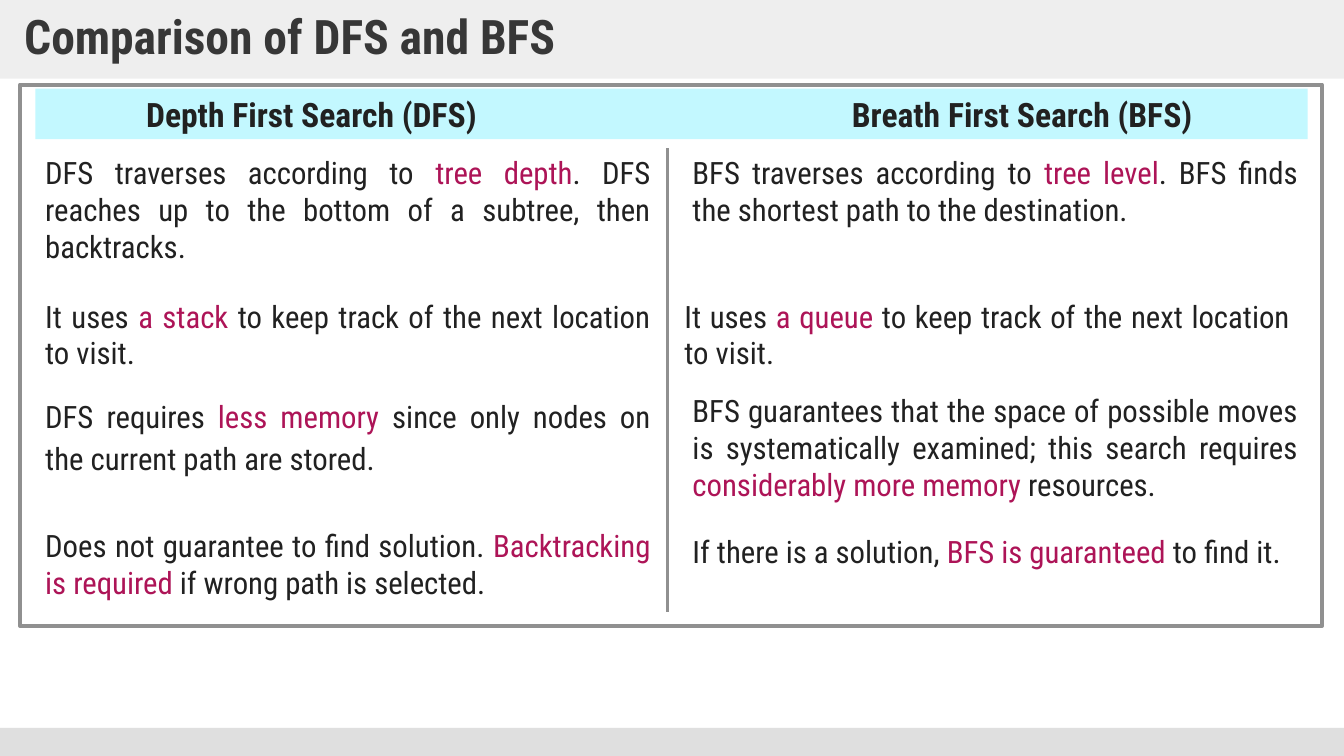
from lxml.etree import SubElement
from pptx import Presentation
from pptx.dml.color import RGBColor
from pptx.enum.shapes import MSO_CONNECTOR, MSO_SHAPE
from pptx.enum.text import MSO_ANCHOR, MSO_AUTO_SIZE, PP_ALIGN
from pptx.oxml.ns import qn
from pptx.util import Inches, Pt

FONT = "Roboto Condensed"
BAR = RGBColor(0xDF, 0xDF, 0xDF)
TITLE = RGBColor(0x37, 0x37, 0x37)
INK = RGBColor(0x21, 0x21, 0x21)
ACCENT = RGBColor(0xAD, 0x14, 0x57)
RULE = RGBColor(0x90, 0x90, 0x90)
HEADER = RGBColor(0xC3, 0xF8, 0xFF)

W, H = 13.33, 7.5
LEFT, RIGHT, COL_W = 0.35, 6.77, 6.2
TAB_STOPS = (1, 8)

ROWS = [
    (1.48, [
        (LEFT, 1.21, 1, ("DFS traverses according to ", "tree depth",
                         ". DFS reaches up to the bottom of a subtree, then backtracks.")),
        (RIGHT, 0.84, 1, ("BFS traverses according to ", "tree level",
                          ". BFS finds the shortest path to the destination.")),
    ]),
    (2.9, [
        (LEFT, 0.84, 1, ("It uses ", "a stack",
                         " to keep track of the next location to visit.")),
        (RIGHT - 0.08, 0.84, 1, ("It uses ", "a queue ",
                                 "to keep track of the next location to visit.")),
    ]),
    (3.84, [
        (LEFT, 0.95, 1.15, ("DFS requires ", "less memory ",
                            "since only nodes on the current path are stored.")),
        (RIGHT, 1.21, 1, ("BFS guarantees that the space of possible moves is systematically "
                          "examined; this search requires ",
                          "considerably more memory ", "resources.")),
    ]),
    (5.18, [
        (LEFT, 0.84, 1, ("Does not guarantee to find solution. ",
                         "Backtracking is required ", "if wrong path is selected.")),
        (RIGHT, 0.53, 1.15, ("If there is a solution, ", "BFS is guaranteed ",
                             "to find it.")),
    ]),
]


def style(font, size, color, bold=False):
    font.name, font.size, font.bold = FONT, Pt(size), bold
    font.color.rgb = color


def add_box(x, y, w, h, fill=None):
    sp = s.shapes.add_shape(MSO_SHAPE.RECTANGLE, Inches(x), Inches(y), Inches(w), Inches(h))
    sp.shadow.inherit = False
    sp.line.fill.background()
    if fill is None:
        sp.fill.background()
    else:
        sp.fill.solid()
        sp.fill.fore_color.rgb = fill
    return sp


prs = Presentation()
prs.slide_width, prs.slide_height = Inches(W), Inches(H)
s = prs.slides.add_slide(prs.slide_layouts[5])

title = s.shapes.title
title.left, title.top, title.width, title.height = 0, 0, Inches(W), Inches(0.78)
title.fill.solid()
title.fill.fore_color.rgb = BAR
SubElement(title.element.spPr.find(".//" + qn("a:srgbClr")), qn("a:alpha"), val="50000")
tf = title.text_frame
tf.text = "Comparison of DFS and BFS"
tf.auto_size = MSO_AUTO_SIZE.NONE
tf.vertical_anchor = MSO_ANCHOR.MIDDLE
tf.margin_left = tf.margin_right = Inches(0.24)
tf.margin_top = tf.margin_bottom = Inches(0.12)
p = tf.paragraphs[0]
p.alignment = PP_ALIGN.LEFT
p.line_spacing = 0.9
style(p.runs[0].font, 34, TITLE, True)

add_box(0, H - 0.28, W, 0.28, BAR)

frame = add_box(0.2, 0.84, 12.91, 5.37)
frame.line.color.rgb = RULE
frame.line.width = Pt(3)

header = add_box(LEFT, 0.88, RIGHT + COL_W - LEFT, 0.5, HEADER)
tf = header.text_frame
tf.word_wrap = True
tf.vertical_anchor = MSO_ANCHOR.TOP
p = tf.paragraphs[0]
p.text = "\tDepth First Search (DFS)\tBreath First Search (BFS)"
p.alignment = PP_ALIGN.LEFT
tabs = SubElement(p._p.get_or_add_pPr(), qn("a:tabLst"))
for stop in TAB_STOPS:
    SubElement(tabs, qn("a:tab"), pos=str(Inches(stop)), algn="l")
for r in p.runs:
    style(r.font, 24, INK, True)

for y, cells in ROWS:
    for x, h, spacing, parts in cells:
        sp = s.shapes.add_textbox(Inches(x), Inches(y), Inches(COL_W), Inches(h))
        tf = sp.text_frame
        tf.word_wrap = True
        p = tf.paragraphs[0]
        p.alignment = PP_ALIGN.JUSTIFY
        p.line_spacing = float(spacing)
        for part, color in zip(parts, (INK, ACCENT, INK)):
            r = p.add_run()
            r.text = part
            style(r.font, 22, color)

divider = s.shapes.add_connector(MSO_CONNECTOR.STRAIGHT, Inches(6.62), Inches(1.47),
                                 Inches(6.62), Inches(6.07))
divider.line.color.rgb = RULE
divider.line.width = Pt(2.25)
SubElement(divider.element.spPr, qn("a:effectLst"))

prs.save("out.pptx")
